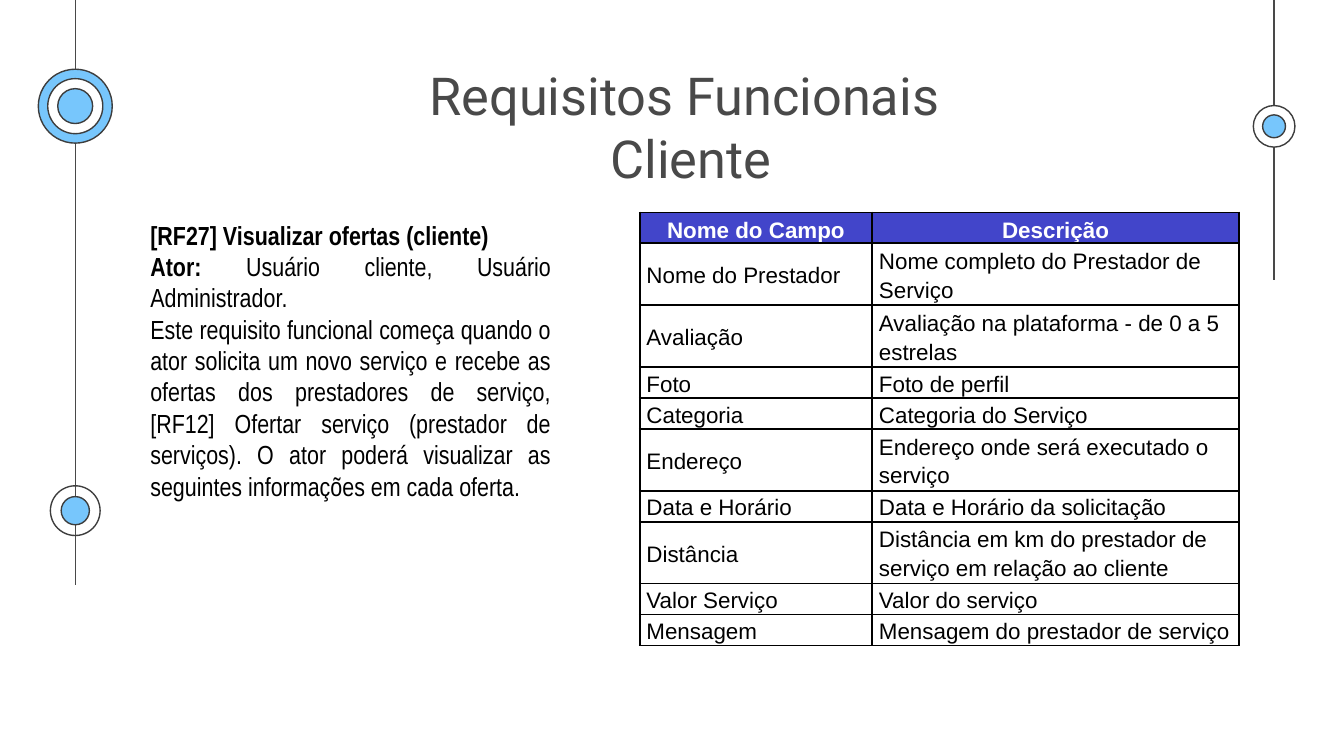
from lxml.etree import SubElement
from pptx import Presentation
from pptx.dml.color import RGBColor
from pptx.enum.shapes import MSO_CONNECTOR, MSO_SHAPE
from pptx.enum.text import MSO_ANCHOR, MSO_AUTO_SIZE, PP_ALIGN
from pptx.oxml.ns import qn
from pptx.util import Inches, Pt

COLORS = {
    "black": "000000",
    "white": "FFFFFF",
    "gray": "494949",
    "outline": "3D3D3D",
    "sky": "77C6FC",
    "header": "4245CA",
}

# Vertical lines: x, bottom end
RAILS = [(0.56, 4.35), (9.48, 2.08)]

# Concentric circles: centre x, centre y, (diameter, fill) from outside in
TARGETS = [
    (0.56, 3.8, [(0.37, None), (0.21, "sky")]),
    (9.48, 0.94, [(0.31, "white"), (0.17, "sky")]),
    (0.56, 0.79, [(0.55, "sky"), (0.41, "white"), (0.26, "sky")]),
]

TITLE_FORMAT = {"size": Pt(28), "name": "Roboto", "bold": False}
BODY_FORMAT = {"size": Pt(14), "name": "Arial Narrow"}
CELL_FORMAT = {"size": Pt(12), "name": "Arial"}

# Paragraphs as (text, bold) spans
REQUIREMENT = [
    [("[RF27] Visualizar ofertas (cliente)", True)],
    [("Ator: ", True), ("Usuário cliente, Usuário Administrador.", False)],
    [("Este requisito funcional começa quando o ator solicita um novo serviço "
      "e recebe as ofertas dos prestadores de serviço, [RF12] Ofertar serviço "
      "(prestador de serviços). O ator poderá visualizar as seguintes "
      "informações em cada oferta. ", False)],
]

FIELDS = [
    ("Nome do Campo", "Descrição"),
    ("Nome do Prestador", "Nome completo do Prestador de Serviço"),
    ("Avaliação", "Avaliação na plataforma - de 0 a 5 estrelas"),
    ("Foto", "Foto de perfil"),
    ("Categoria", "Categoria do Serviço"),
    ("Endereço", "Endereço onde será executado o serviço"),
    ("Data e Horário", "Data e Horário da solicitação"),
    ("Distância", "Distância em km do prestador de serviço em relação ao cliente"),
    ("Valor Serviço", "Valor do serviço"),
    ("Mensagem", "Mensagem do prestador de serviço"),
]
COLUMN_WIDTHS = [1.73, 2.73]
ROW_HEIGHT = 0.21
TALL_ROW = 7


def rgb(color):
    return RGBColor.from_string(COLORS[color])


def style_font(font, color, formats):
    for name, value in formats.items():
        setattr(font, name, value)
    font.color.rgb = rgb(color)


def add_rail(page, x, bottom):
    rail = page.shapes.add_connector(
        MSO_CONNECTOR.STRAIGHT, Inches(x), Inches(0), Inches(x), Inches(bottom))
    rail.line.color.rgb = rgb("gray")
    rail.line.width = Pt(0.75)
    SubElement(rail._element.spPr, qn("a:effectLst"))


def add_circle(page, x, y, diameter, fill):
    circle = page.shapes.add_shape(
        MSO_SHAPE.OVAL, Inches(x - diameter / 2), Inches(y - diameter / 2),
        Inches(diameter), Inches(diameter))
    circle.shadow.inherit = False
    if fill:
        circle.fill.solid()
        circle.fill.fore_color.rgb = rgb(fill)
    else:
        circle.fill.background()
    circle.line.color.rgb = rgb("outline")
    circle.line.width = Pt(0.75)


def add_text_box(page, place, margins=None):
    box = page.shapes.add_textbox(*(Inches(length) for length in place))
    frame = box.text_frame
    frame.word_wrap = True
    for name, value in (margins or {}).items():
        setattr(frame, name, value)
    return frame


def add_title(page):
    frame = add_text_box(page, (3.06, 0.37, 4.16, 0.63),
                         {"margin_top": Inches(0.1), "margin_bottom": Inches(0.1)})
    frame.auto_size = MSO_AUTO_SIZE.NONE
    para = frame.paragraphs[0]
    para.text = "Requisitos Funcionais \vCliente"
    para.alignment = PP_ALIGN.CENTER
    for span in para.runs:
        style_font(span.font, "gray", TITLE_FORMAT)


def add_requirement(page):
    frame = add_text_box(page, (1.02, 1.58, 3.18, 2.69))
    frame.auto_size = MSO_AUTO_SIZE.SHAPE_TO_FIT_TEXT
    for index, spans in enumerate(REQUIREMENT):
        para = frame.add_paragraph() if index else frame.paragraphs[0]
        para.alignment = PP_ALIGN.JUSTIFY
        for text, bold in spans:
            span = para.add_run()
            span.text = text
            style_font(span.font, "black", {**BODY_FORMAT, "bold": bold})


def add_borders(cell):
    properties = cell._tc.get_or_add_tcPr()
    for index, side in enumerate(("lnL", "lnR", "lnT", "lnB")):
        border = properties.makeelement(qn(f"a:{side}"), {"w": str(Pt(1))})
        properties.insert(index, border)
        fill = SubElement(border, qn("a:solidFill"))
        SubElement(fill, qn("a:srgbClr"), val=COLORS["black"])


def fill_cell(cell, text, is_header):
    formats = {
        "margin_left": Inches(0.05),
        "margin_right": Inches(0.05),
        "margin_top": 0,
        "margin_bottom": 0,
        "vertical_anchor": MSO_ANCHOR.BOTTOM if is_header else MSO_ANCHOR.MIDDLE,
    }
    for name, value in formats.items():
        setattr(cell, name, value)
    if is_header:
        cell.fill.solid()
        cell.fill.fore_color.rgb = rgb("header")
    else:
        cell.fill.background()
    add_borders(cell)
    para = cell.text_frame.paragraphs[0]
    para.alignment = PP_ALIGN.CENTER if is_header else PP_ALIGN.LEFT
    para.line_spacing = 1.15
    span = para.add_run()
    span.text = text
    style_font(span.font, "white" if is_header else "black",
               {**CELL_FORMAT, "bold": is_header})


def add_field_table(page):
    heights = [ROW_HEIGHT] * len(FIELDS)
    heights[TALL_ROW] *= 2
    table = page.shapes.add_table(
        len(FIELDS), len(COLUMN_WIDTHS), Inches(4.76), Inches(1.58),
        Inches(sum(COLUMN_WIDTHS)), Inches(sum(heights))).table
    table.horz_banding = False
    for column, width in zip(table.columns, COLUMN_WIDTHS):
        column.width = Inches(width)
    for row_index, (row, height) in enumerate(zip(table.rows, heights)):
        row.height = Inches(height)
        for cell, text in zip(row.cells, FIELDS[row_index]):
            fill_cell(cell, text, row_index == 0)


def main():
    # Widescreen page, 16:9
    deck = Presentation()
    deck.slide_width = Inches(10)
    deck.slide_height = Inches(10 * 9 / 16)
    page = deck.slides.add_slide(deck.slide_layouts[6])

    # Side decoration
    for x, bottom in RAILS:
        add_rail(page, x, bottom)
    for x, y, circles in TARGETS:
        for diameter, fill in circles:
            add_circle(page, x, y, diameter, fill)

    # Content
    add_title(page)
    add_requirement(page)
    add_field_table(page)
    deck.save("out.pptx")


if __name__ == "__main__":
    main()
